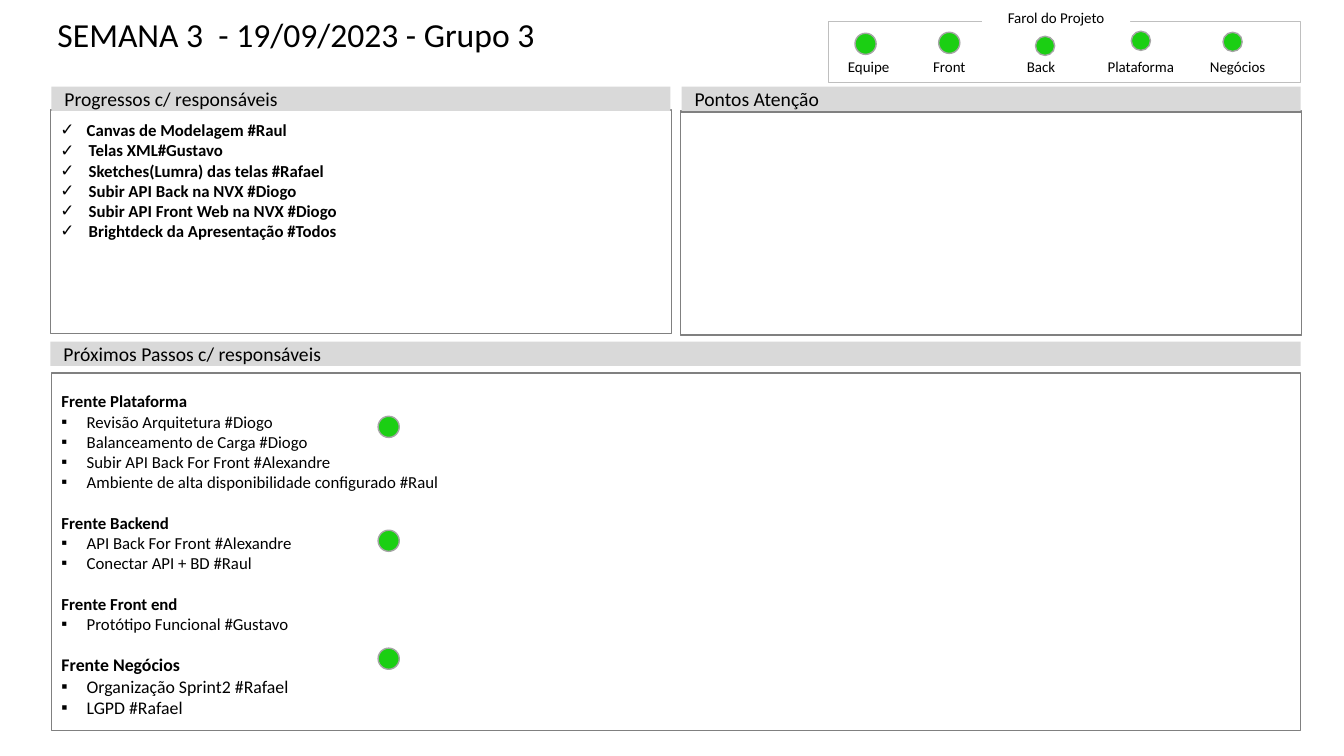
import pptx
import pptx.util
import pptx.dml.color
import pptx.enum.shapes
import pptx.enum.text
import pptx.oxml.ns
import lxml.etree

Inches = pptx.util.Inches
Pt = pptx.util.Pt
Shape = pptx.enum.shapes.MSO_SHAPE
Anchor = pptx.enum.text.MSO_ANCHOR
Align = pptx.enum.text.PP_ALIGN


def paint(item, color):
    item.solid()
    item.fore_color.rgb = pptx.dml.color.RGBColor.from_string(color)


def write(para, text, size, bold=False):
    run = para.add_run()
    run.text = text
    run.font.name = "Calibri"
    run.font.size = Pt(size)
    run.font.bold = bold
    paint(run.font.fill, "000000")


deck = pptx.Presentation()
deck.slide_width = Inches(13.33)
deck.slide_height = Inches(7.5)
slide = deck.slides.add_slide(deck.slide_layouts[3])
title, done, steps = slide.placeholders

title.left, title.top = Inches(0.47), Inches(0.18)
title.width, title.height = Inches(5.13), Inches(0.79)
frame = title.text_frame
frame.auto_size = pptx.enum.text.MSO_AUTO_SIZE.NONE
frame.vertical_anchor = Anchor.TOP
frame.margin_top = frame.margin_bottom = 0
para = frame.paragraphs[0]
para.alignment = Align.LEFT
para.line_spacing = 0.9
write(para, "SEMANA 3  - 19/09/2023 - Grupo 3", 24)

tasks = [
    "Canvas de Modelagem #Raul",
    "Telas XML#Gustavo",
    "Sketches(Lumra) das telas #Rafael",
    "Subir API Back na NVX #Diogo",
    "Subir API Front Web na NVX #Diogo",
    "Brightdeck da Apresentação #Todos",
]
fronts = [
    ("Frente Plataforma", 12, [
        "Revisão Arquitetura #Diogo",
        "Balanceamento de Carga #Diogo",
        "Subir API Back For Front #Alexandre",
        "Ambiente de alta disponibilidade configurado #Raul",
    ]),
    ("Frente Backend", 12, ["API Back For Front #Alexandre", "Conectar API + BD #Raul"]),
    ("Frente Front end", 12, ["Protótipo Funcional #Gustavo"]),
    ("Frente Negócios", 12.7, ["Organização Sprint2 #Rafael", "LGPD #Rafael"]),
]

checks = [(task, 12, True, "✓", 0.28, 0) for task in tasks]
checks[0] = (tasks[0], 12, True, "✓", 0.26, 0)
plans = []
for name, size, items in fronts:
    plans.append((name, size, True, None, 0, 14.6 if plans else 0))
    plans += [(item, size, False, "▪", 0.25, 0) for item in items]

for body, box, inset, rows in [
    (done, (0.5, 1.09, 6.16, 2.22), 0.1, checks),
    (steps, (0.51, 3.7, 12.39, 3.55), 0.18, plans),
]:
    body.left, body.top, body.width, body.height = map(Inches, box)
    paint(body.line.fill, "808080")
    body.line.width = Pt(1)
    frame = body.text_frame
    frame.auto_size = pptx.enum.text.MSO_AUTO_SIZE.NONE
    frame.vertical_anchor = Anchor.TOP
    frame.margin_left = frame.margin_right = Inches(0.1)
    frame.margin_top, frame.margin_bottom = Inches(inset), Inches(0.05)
    for num, (text, size, bold, mark, indent, gap) in enumerate(rows):
        para = frame.add_paragraph() if num else frame.paragraphs[0]
        para.line_spacing = 1.0
        para.space_before, para.space_after = Pt(gap), Pt(0)
        props = para._p.get_or_add_pPr()
        props.set("marL", str(Inches(indent)))
        props.set("indent", str(-Inches(indent)))
        kind = "a:buChar" if mark else "a:buNone"
        bullet = lxml.etree.SubElement(props, pptx.oxml.ns.qn(kind))
        if mark:
            bullet.set("char", mark)
        write(para, text, size, bold)

for box, color, width in [
    ((6.75, 1.1, 6.16, 2.22), "808080", 1),
    ((6.75, 1.11, 6.16, 2.22), "808080", 1),
    ((8.22, 0.21, 4.68, 0.61), "BFBFBF", 0.5),
]:
    panel = slide.shapes.add_shape(Shape.RECTANGLE, *map(Inches, box))
    panel.shadow.inherit = False
    panel.fill.background()
    paint(panel.line.fill, color)
    panel.line.width = Pt(width)

for text, left, top, width in [
    ("Progressos c/ responsáveis", 0.51, 0.86, 6.14),
    ("Pontos Atenção", 6.76, 0.86, 6.14),
    ("Próximos Passos c/ responsáveis", 0.5, 3.39, 12.4),
]:
    bar = slide.shapes.add_shape(
        Shape.RECTANGLE, Inches(left), Inches(top), Inches(width), Inches(0.24))
    bar.shadow.inherit = False
    paint(bar.fill, "D9D9D9")
    bar.line.fill.background()
    frame = bar.text_frame
    frame.vertical_anchor = Anchor.MIDDLE
    frame.margin_left = frame.margin_right = Inches(0.13)
    frame.margin_top = frame.margin_bottom = Inches(0.07)
    para = frame.paragraphs[0]
    para.alignment = Align.LEFT
    write(para, text, 14)

for text, left, top, width, height in [
    ("Farol do Projeto", 9.74, 0.05, 1.47, 0.21),
    ("Equipe", 8.17, 0.57, 0.89, 0.18),
    ("Front", 8.97, 0.57, 0.89, 0.18),
    ("Back", 9.88, 0.57, 0.89, 0.18),
    ("Plataforma", 10.87, 0.57, 0.89, 0.18),
    ("Negócios", 11.83, 0.57, 0.89, 0.18),
]:
    label = slide.shapes.add_textbox(
        Inches(left), Inches(top), Inches(width), Inches(height))
    if text == "Farol do Projeto":
        paint(label.fill, "FFFFFF")
    frame = label.text_frame
    frame.word_wrap = False
    frame.vertical_anchor = Anchor.BOTTOM
    frame.margin_left = frame.margin_right = frame.margin_top = Inches(0.05)
    frame.margin_bottom = 0
    para = frame.paragraphs[0]
    para.alignment = Align.CENTER
    write(para, text, 10.7)

for left, top, size in [
    (8.48, 0.33, 0.21),
    (9.31, 0.32, 0.21),
    (10.27, 0.36, 0.19),
    (11.22, 0.31, 0.19),
    (12.13, 0.32, 0.19),
    (3.75, 4.13, 0.21),
    (3.75, 5.26, 0.21),
    (3.75, 6.43, 0.21),
]:
    light = slide.shapes.add_shape(
        Shape.OVAL, Inches(left), Inches(top), Inches(size), Inches(size))
    light.shadow.inherit = False
    paint(light.fill, "1BCF13")
    paint(light.line.fill, "A5A5A5")
    light.line.width = Pt(1)

deck.save("out.pptx")
